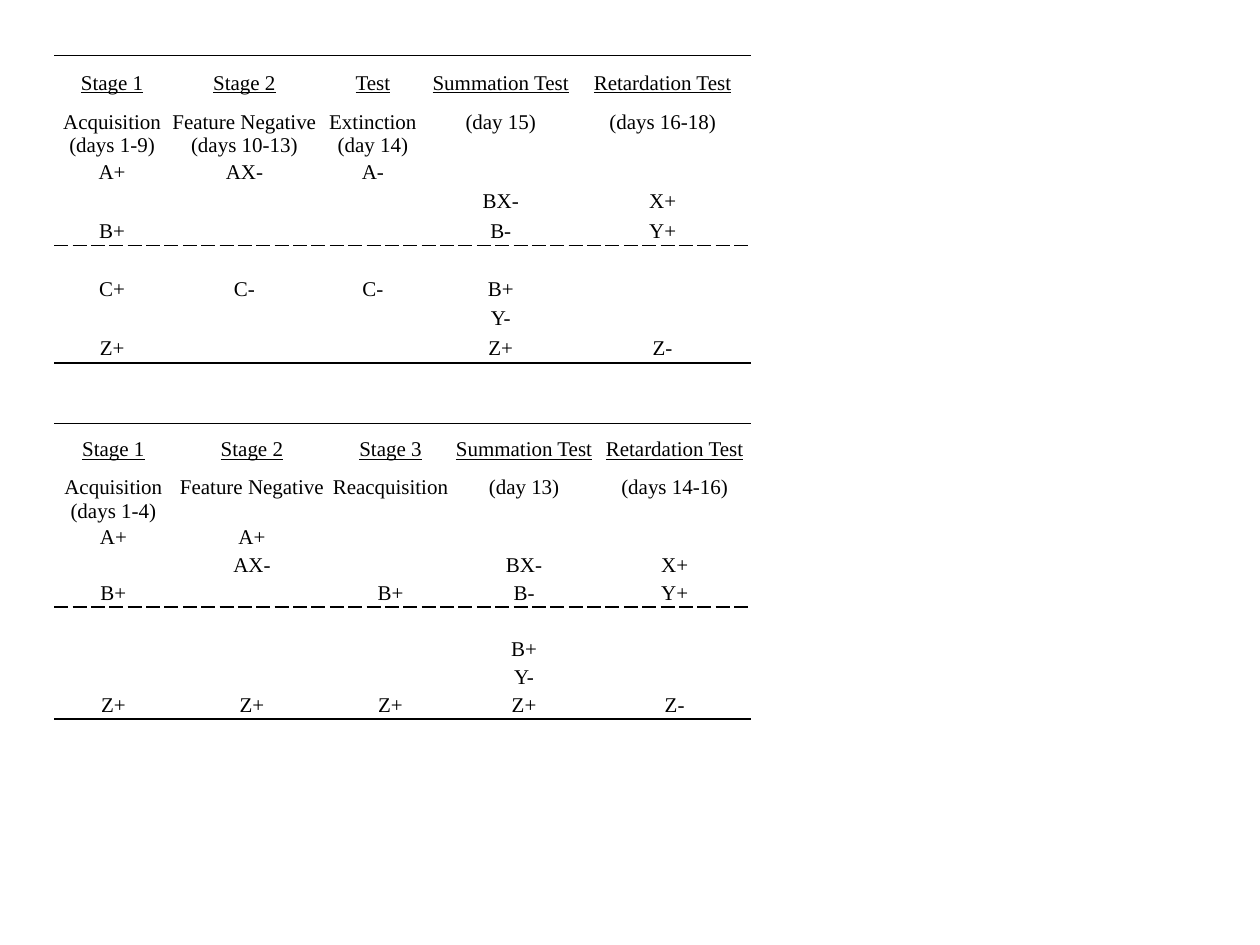
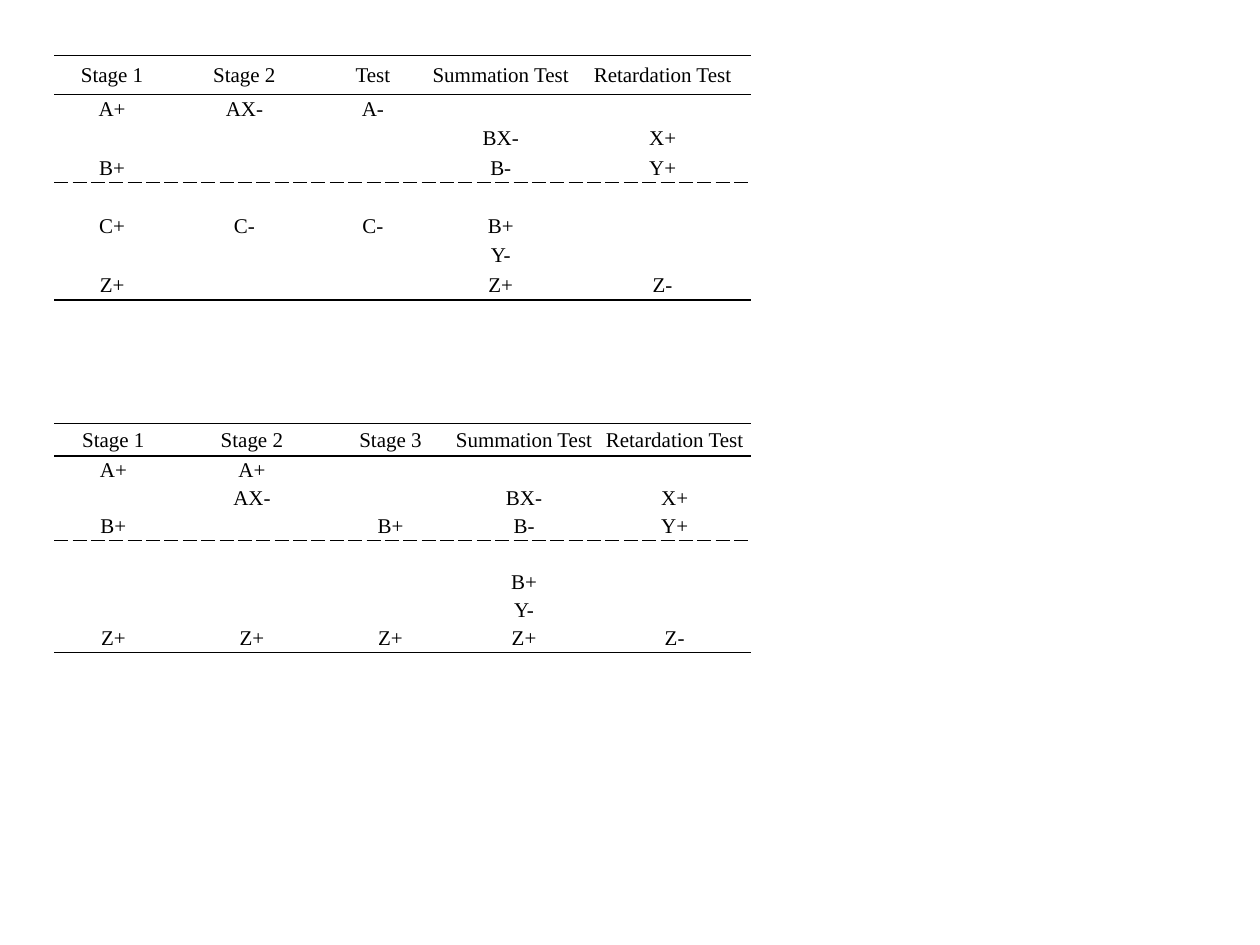
from lxml import etree
from pptx import Presentation
from pptx.dml.color import RGBColor
from pptx.enum import text
from pptx.oxml import ns
from pptx.util import Inches, Pt

COLOURS = {"ink": "000000", "paper": "FFFFFF"}
FONT_SIZE = Pt(12)
FONT_FORMAT = {"name": "Times New Roman", "size": FONT_SIZE, "bold": False}
CELL_FORMAT = {
    "margin_left": Inches(0.01),
    "margin_right": Inches(0.01),
    "margin_top": Inches(0.01),
    "margin_bottom": 0,
}
TABLE_FORMAT = {"first_row": False, "horz_banding": False}
TABLE_LEFT = 0.43
TABLE_WIDTH = 5.53
GROUP_END_ROWS = (2, 6)

REACQUISITION = {
    "top": 3.36,
    "columns": [0.94, 1.26, 0.94, 1.18, 1.21],
    "trial_row": 0.22,
    "headings": ["Stage 1", "Stage 2", "Stage 3", "Summation Test", "Retardation Test"],
    "phases": ["Acquisition (days 1-4)", "Feature Negative", "Reacquisition",
               "(day 13)", "(days 14-16)"],
    "trials": [
        ["A+", "A+", "", "", ""],
        ["", "AX-", "", "BX-", "X+"],
        ["B+", "", "B+", "B-", "Y+"],
        ["", "", "", "", ""],
        ["", "", "", "B+", ""],
        ["", "", "", "Y-", ""],
        ["Z+", "Z+", "Z+", "Z+", "Z-"],
    ],
}
EXTINCTION = {
    "top": 0.44,
    "columns": [0.92, 1.18, 0.86, 1.17, 1.4],
    "trial_row": 0.23,
    "headings": ["Stage 1", "Stage 2", "Test", "Summation Test", "Retardation Test"],
    "phases": ["Acquisition (days 1-9)", "Feature Negative (days 10-13)",
               "Extinction (day 14)", "(day 15)", "(days 16-18)"],
    "trials": [
        ["A+", "AX-", "A-", "", ""],
        ["", "", "", "BX-", "X+"],
        ["B+", "", "", "B-", "Y+"],
        ["", "", "", "", ""],
        ["C+", "C-", "C-", "B+", ""],
        ["", "", "", "Y-", ""],
        ["Z+", "", "", "Z+", "Z-"],
    ],
}


def apply_format(target, values):
    for name, value in values.items():
        setattr(target, name, value)


def add_border(cell, side, dash):
    properties = cell._tc.get_or_add_tcPr()
    line = etree.SubElement(properties, ns.qn(f"a:ln{side}"), w=str(Pt(1)))
    if dash is None:
        etree.SubElement(line, ns.qn("a:noFill"))
        return
    fill = etree.SubElement(line, ns.qn("a:solidFill"))
    etree.SubElement(fill, ns.qn("a:srgbClr"), val=COLOURS["ink"])
    etree.SubElement(line, ns.qn("a:prstDash"), val=dash)


def fill_cell(cell, content, anchor, underline):
    apply_format(cell, {**CELL_FORMAT, "vertical_anchor": anchor})
    paragraph = cell.text_frame.paragraphs[0]
    paragraph.alignment = text.PP_ALIGN.CENTER
    if content:
        run = paragraph.add_run()
        run.text = content
        apply_format(run.font, {**FONT_FORMAT, "underline": underline})
        run.font.color.rgb = RGBColor.from_string(COLOURS["ink"])
    else:
        etree.SubElement(paragraph._p, ns.qn("a:endParaRPr"),
                         sz=str(int(FONT_SIZE.pt * 100)))


def add_design_table(slide, design, heading_height, phase_height=None, height=None):
    has_phases = phase_height is not None
    phases = [design["phases"]] if has_phases else []
    rows = [design["headings"], *phases, *design["trials"]]
    trial_heights = [design["trial_row"] + 0.01 * (index in GROUP_END_ROWS)
                     for index in range(len(design["trials"]))]
    heights = [heading_height, *([phase_height] if has_phases else []), *trial_heights]
    first_trial = 1 + len(phases)
    rules = {0: "solid", first_trial + 3: "dash", len(rows): "solid"}
    if not has_phases:
        rules[1] = "solid"

    frame = slide.shapes.add_table(
        len(rows), len(design["columns"]), Inches(TABLE_LEFT), Inches(design["top"]),
        Inches(TABLE_WIDTH), Inches(sum(heights)))
    table = frame.table
    apply_format(table, TABLE_FORMAT)
    for column, width in zip(table.columns, design["columns"]):
        column.width = Inches(width)
    for row_index, contents in enumerate(rows):
        table.rows[row_index].height = Inches(heights[row_index])
        is_phase = has_phases and row_index == 1
        anchor = text.MSO_ANCHOR.TOP if is_phase else text.MSO_ANCHOR.MIDDLE
        for column_index, content in enumerate(contents):
            cell = table.cell(row_index, column_index)
            fill_cell(cell, content, anchor, has_phases and row_index == 0)
            borders = {"L": None, "R": None,
                       "T": rules.get(row_index), "B": rules.get(row_index + 1)}
            for side, dash in borders.items():
                add_border(cell, side, dash)
            cell.fill.background()
    if height:
        frame.height = Inches(height)


def add_design_slide(presentation, tables):
    slide = presentation.slides.add_slide(presentation.slide_layouts[6])
    background = slide.background.fill
    background.solid()
    background.fore_color.rgb = RGBColor.from_string(COLOURS["paper"])
    for design, sizes in tables:
        add_design_table(slide, design, *sizes)


def main():
    presentation = Presentation()
    apply_format(presentation, {"slide_width": Inches(10), "slide_height": Inches(7.5)})
    add_design_slide(presentation, [(REACQUISITION, (0.41, 0.22, 2.36)),
                                    (EXTINCTION, (0.43, 0.32, 2.46))])
    add_design_slide(presentation, [(REACQUISITION, (0.26,)), (EXTINCTION, (0.31,))])
    presentation.save("out.pptx")


if __name__ == "__main__":
    main()
